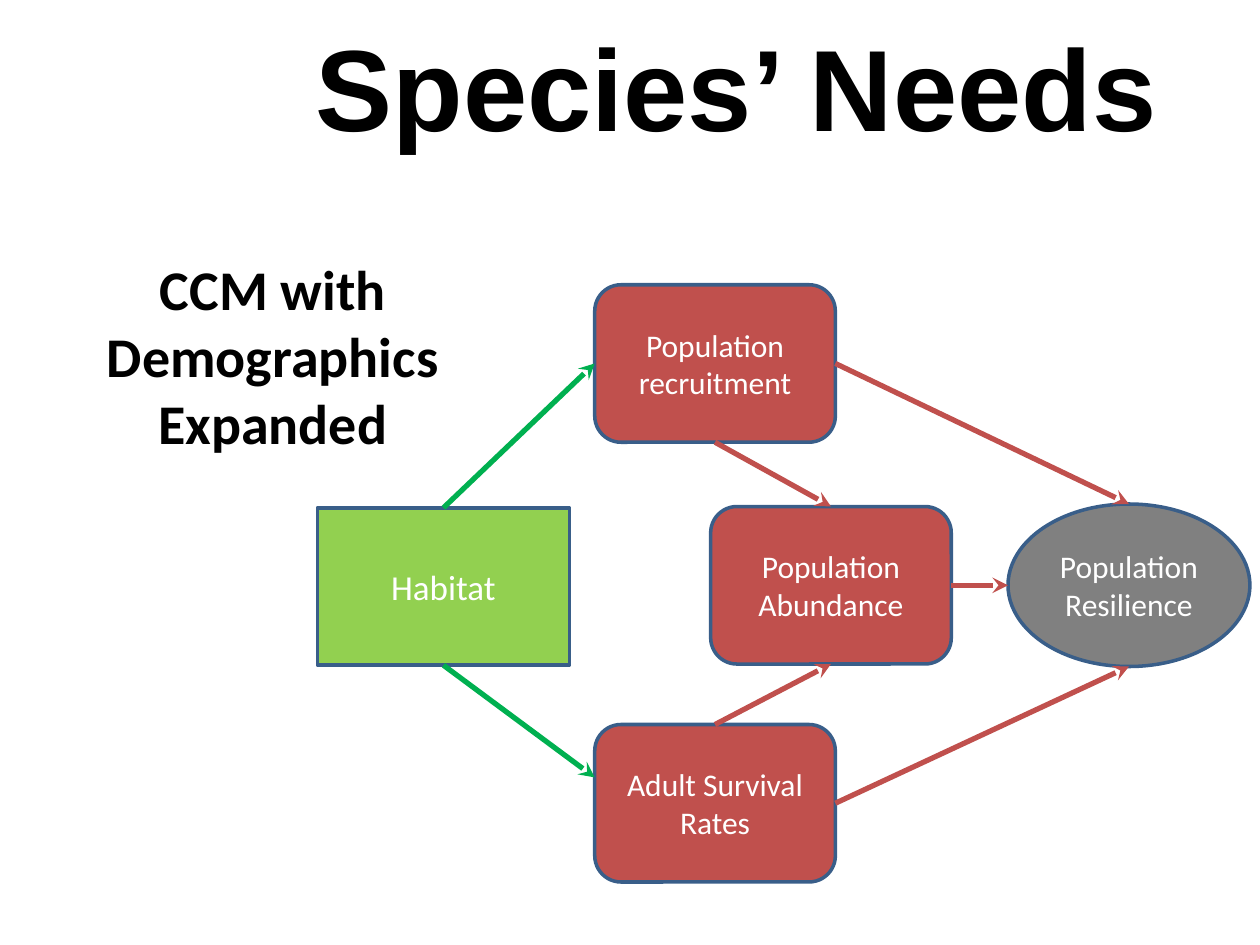
from dataclasses import dataclass

from lxml import etree
from pptx import Presentation
from pptx.dml.color import RGBColor
from pptx.enum.shapes import MSO_CONNECTOR, MSO_SHAPE
from pptx.enum.text import MSO_ANCHOR, MSO_AUTO_SIZE, PP_ALIGN
from pptx.oxml.ns import qn
from pptx.util import Pt

RECT, ROUNDED, OVAL = MSO_SHAPE.RECTANGLE, MSO_SHAPE.ROUNDED_RECTANGLE, MSO_SHAPE.OVAL
STRAIGHT = MSO_CONNECTOR.STRAIGHT
TOP_ANCHOR, MIDDLE = MSO_ANCHOR.TOP, MSO_ANCHOR.MIDDLE
LEFT_ALIGN, CENTER = PP_ALIGN.LEFT, PP_ALIGN.CENTER
GROW = MSO_AUTO_SIZE.SHAPE_TO_FIT_TEXT
TOP, LEFT, BOTTOM, RIGHT = range(4)
SCALE = 9144


@dataclass(frozen=True)
class Theme:
    title_font: str = "Arial"
    body_font: str = "Calibri"
    ink: str = "000000"
    light: str = "FFFFFF"
    demographic: str = "C0504D"
    habitat: str = "92D050"
    resilience: str = "808080"
    outline: str = "395E89"
    habitat_link: str = "00B050"
    title_size: int = 66
    caption_size: int = 32
    habitat_size: int = 20
    node_size: int = 18
    outline_width: int = 2
    link_width: int = 3


THEME = Theme()


def px(*lengths):
    return [length * SCALE for length in lengths]


def rgb(color):
    return RGBColor.from_string(color)


def write(frame, words, font_name, size, color, bold=False, align=CENTER, anchor=MIDDLE):
    frame.text = words
    frame.word_wrap = True
    frame.vertical_anchor = anchor
    paragraph = frame.paragraphs[0]
    paragraph.alignment = align
    font = paragraph.runs[0].font
    font.name, font.size, font.bold = font_name, Pt(size), bold
    font.color.rgb = rgb(color)


def add_title(slide, box):
    title = slide.shapes.add_textbox(*px(*box))
    write(title.text_frame, "Species’ Needs", THEME.title_font, THEME.title_size,
          THEME.ink, True, LEFT_ALIGN, TOP_ANCHOR)
    title.text_frame.auto_size = GROW


def add_caption(slide, box):
    caption = slide.shapes.add_textbox(*px(*box))
    write(caption.text_frame, "CCM with Demographics Expanded", THEME.body_font,
          THEME.caption_size, THEME.ink, True)


def add_node(slide, box, outline, label, fill, size=THEME.node_size):
    node = slide.shapes.add_shape(outline, *px(*box))
    node.shadow.inherit = False
    node.fill.solid()
    node.fill.fore_color.rgb = rgb(fill)
    node.line.color.rgb = rgb(THEME.outline)
    node.line.width = Pt(THEME.outline_width)
    write(node.text_frame, label, THEME.body_font, size, THEME.light)
    return node


def side_middle(node, side):
    center_x, center_y = node.left + node.width // 2, node.top + node.height // 2
    return {
        TOP: (center_x, node.top),
        LEFT: (node.left, center_y),
        BOTTOM: (center_x, node.top + node.height),
        RIGHT: (node.left + node.width, center_y),
    }[side]


def add_link(slide, source, source_side, end, color):
    link = slide.shapes.add_connector(STRAIGHT, *side_middle(source, source_side), *end)
    link.begin_connect(source, source_side)
    link.line.color.rgb = rgb(color)
    link.line.width = Pt(THEME.link_width)
    etree.SubElement(link.line._get_or_add_ln(), qn("a:tailEnd"), type="stealth")
    etree.SubElement(link._element.spPr, qn("a:effectLst"))
    return link


def add_model(slide, box):
    x, y, width, height = box
    node_width, node_height = 191, 125
    rates_x, middle_y = x + 220, y + 176
    adult_y = y + height - node_height

    resilience = add_node(slide, (x + width - 192, y + 174, 192, 129), OVAL,
                          "Population Resilience", THEME.resilience)
    habitat = add_node(slide, (x, middle_y + 1, 200, node_height), RECT,
                       "Habitat", THEME.habitat, THEME.habitat_size)
    recruitment, survival, abundance = [
        add_node(slide, (left, top, node_width, node_height), ROUNDED, label,
                 THEME.demographic)
        for left, top, label in (
            (rates_x, y, "Population recruitment"),
            (rates_x, adult_y, "Adult Survival Rates"),
            (x + 312, middle_y, "Population Abundance"),
        )
    ]

    add_link(slide, habitat, BOTTOM, px(rates_x, adult_y + 42), THEME.habitat_link)
    for source, source_side, target, target_side, color in (
        (habitat, TOP, recruitment, LEFT, THEME.habitat_link),
        (recruitment, BOTTOM, abundance, TOP, THEME.demographic),
        (survival, TOP, abundance, BOTTOM, THEME.demographic),
    ):
        link = add_link(slide, source, source_side, side_middle(target, target_side), color)
        link.end_connect(target, target_side)
    for source, side in ((recruitment, TOP), (abundance, LEFT), (survival, BOTTOM)):
        add_link(slide, source, RIGHT, side_middle(resilience, side), THEME.demographic)


def main():
    deck = Presentation()
    deck.slide_width, deck.slide_height = px(1000, 750)
    slide = deck.slides.add_slide(deck.slide_layouts[6])
    add_model(slide, (252, 226, 740, 474))
    add_caption(slide, (52, 187, 329, 190))
    add_title(slide, (241, 8, 733, 121))
    deck.save("out.pptx")


if __name__ == "__main__":
    main()
